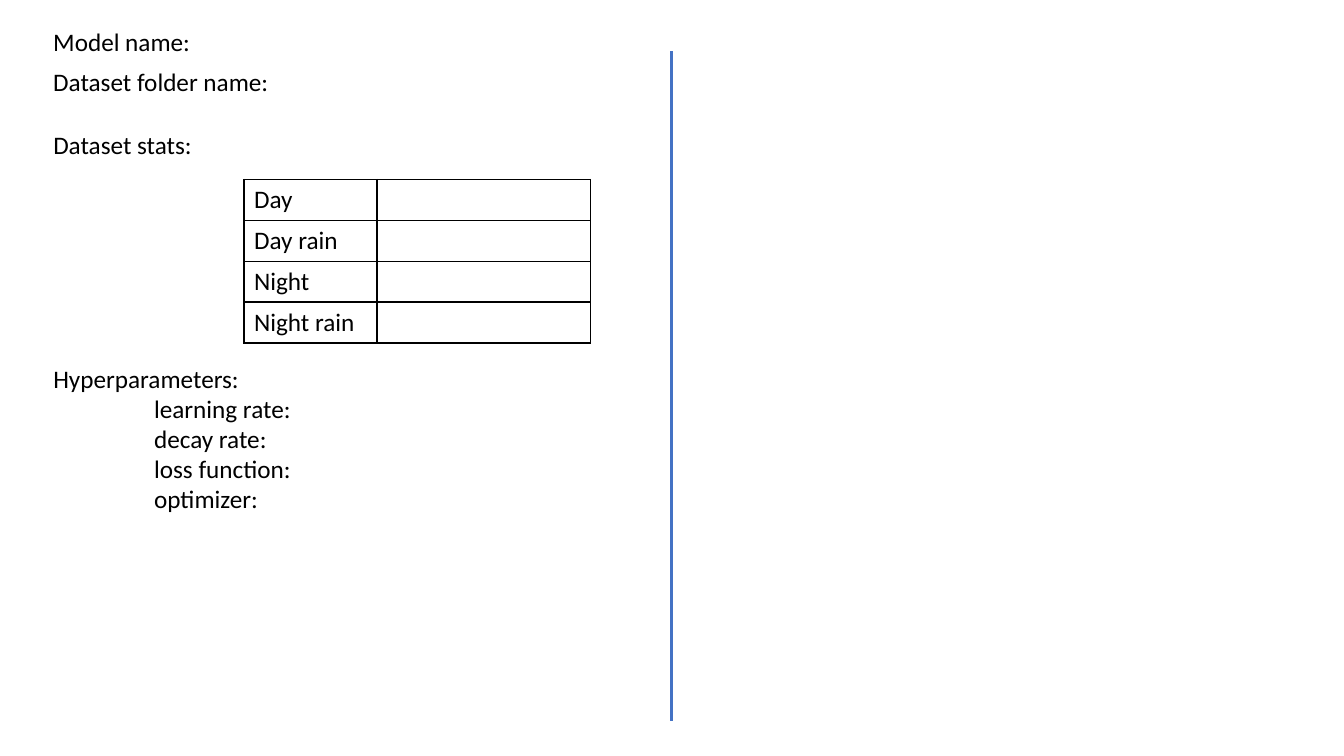
from lxml import etree
from pptx import Presentation
from pptx import util as u
from pptx.dml.color import RGBColor
from pptx.enum import shapes, text
from pptx.oxml.ns import qn

# Content: (left, top, width, height), heading, indented items
LEFT, LINE_HEIGHT = 0.43, 0.4
FIELDS = [
    ((LEFT, 0.21, 1.63, LINE_HEIGHT), "Model name:", []),
    ((LEFT, 0.61, 2.36, LINE_HEIGHT), "Dataset folder name:", []),
    ((LEFT, 1.23, 1.59, LINE_HEIGHT), "Dataset stats:", []),
    ((LEFT, 3.55, 2.58, 1.62), "Hyperparameters:",
     ["learning rate:", "decay rate:", "loss function:", "optimizer:"]),
]
CONDITIONS = ["Day", "Day rain", "Night", "Night rain"]
TABLE_LEFT, TABLE_TOP, ROW_HEIGHT = 2.42, 1.78, 0.405
COLUMN_WIDTHS = [1.32, 2.12]
DIVIDER_X, DIVIDER_TOP, DIVIDER_BOTTOM = 6.66, 0.51, 7.15
BLACK, BLUE = "000000", "4472C4"


def color(value):
    return RGBColor.from_string(value)


def style(paragraph):
    paragraph.font.name = "Calibri"
    paragraph.font.size = u.Pt(18)
    paragraph.font.color.rgb = color(BLACK)


def add_borders(cell):
    properties = cell._tc.get_or_add_tcPr()
    for index, side in enumerate(("a:lnL", "a:lnR", "a:lnT", "a:lnB")):
        line = etree.Element(qn(side), w=str(u.Pt(1)))
        fill = etree.SubElement(line, qn("a:solidFill"))
        etree.SubElement(fill, qn("a:srgbClr"), val=BLACK)
        properties.insert(index, line)


presentation = Presentation()
presentation.slide_width, presentation.slide_height = u.Inches(13.33), u.Inches(7.5)
slide = presentation.slides.add_slide(presentation.slide_layouts[6])

# Dataset table
table = slide.shapes.add_table(
    len(CONDITIONS), len(COLUMN_WIDTHS), u.Inches(TABLE_LEFT), u.Inches(TABLE_TOP),
    u.Inches(sum(COLUMN_WIDTHS)), u.Inches(ROW_HEIGHT * len(CONDITIONS))).table
table.first_row = table.horz_banding = False
for column, width in zip(table.columns, COLUMN_WIDTHS):
    column.width = u.Inches(width)
for row, condition in zip(table.rows, CONDITIONS):
    row.height = u.Inches(ROW_HEIGHT)
    row.cells[0].text = condition
    for cell in row.cells:
        cell.fill.background()
        add_borders(cell)
        style(cell.text_frame.paragraphs[0])

# Field labels
for box, heading, items in FIELDS:
    frame = slide.shapes.add_textbox(*map(u.Inches, box)).text_frame
    frame.word_wrap = False
    frame.auto_size = text.MSO_AUTO_SIZE.SHAPE_TO_FIT_TEXT
    frame.text = "\n".join([heading, *items])
    for index, paragraph in enumerate(frame.paragraphs):
        style(paragraph)
        if index:
            paragraph._p.get_or_add_pPr().set("marL", str(u.Inches(1)))

# Divider between the halves
divider = slide.shapes.add_connector(
    shapes.MSO_CONNECTOR.STRAIGHT, u.Inches(DIVIDER_X), u.Inches(DIVIDER_TOP),
    u.Inches(DIVIDER_X), u.Inches(DIVIDER_BOTTOM))
divider.line.color.rgb = color(BLUE)
divider.line.width = u.Pt(2.25)
etree.SubElement(divider._element.spPr, qn("a:effectLst"))

presentation.save("out.pptx")
